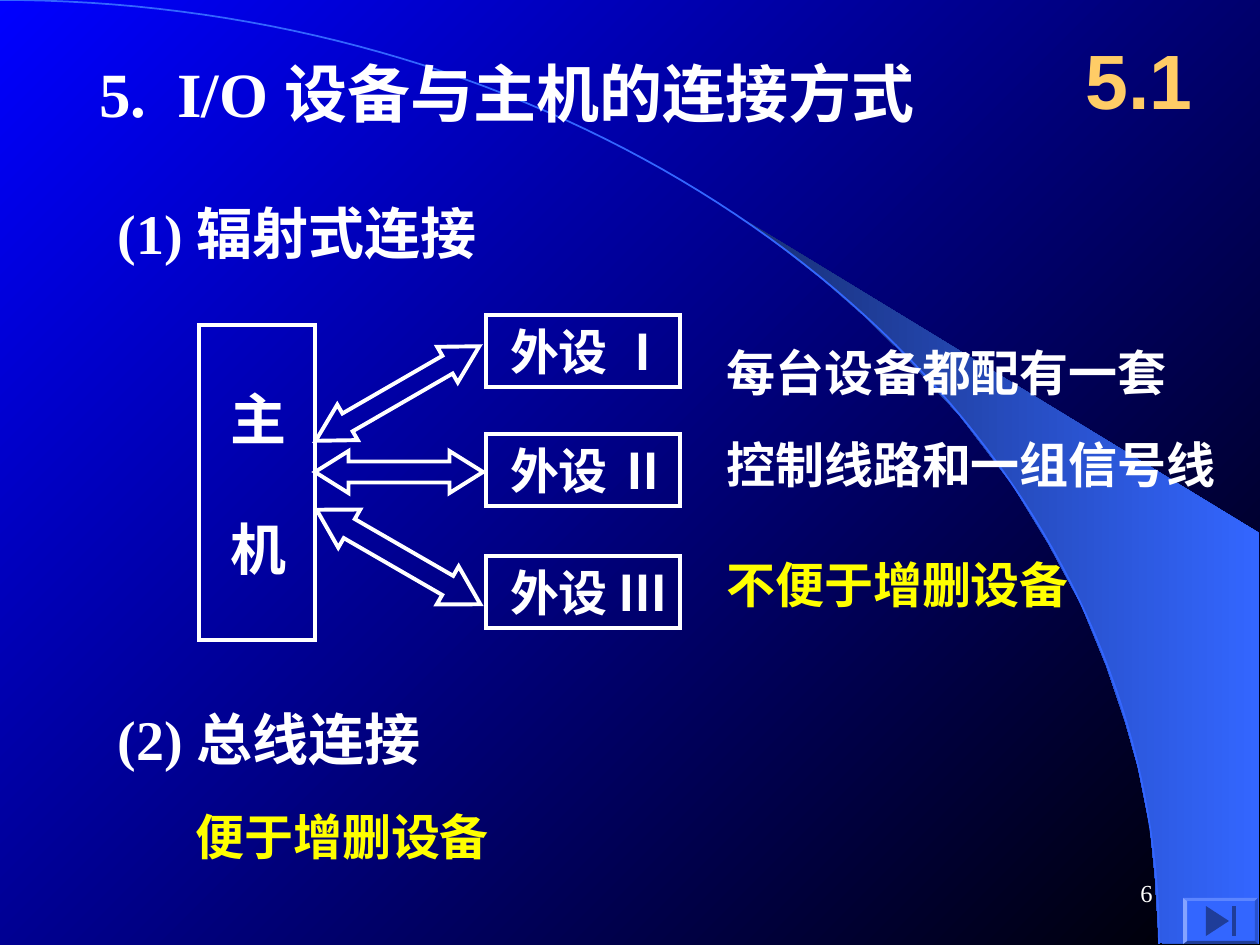
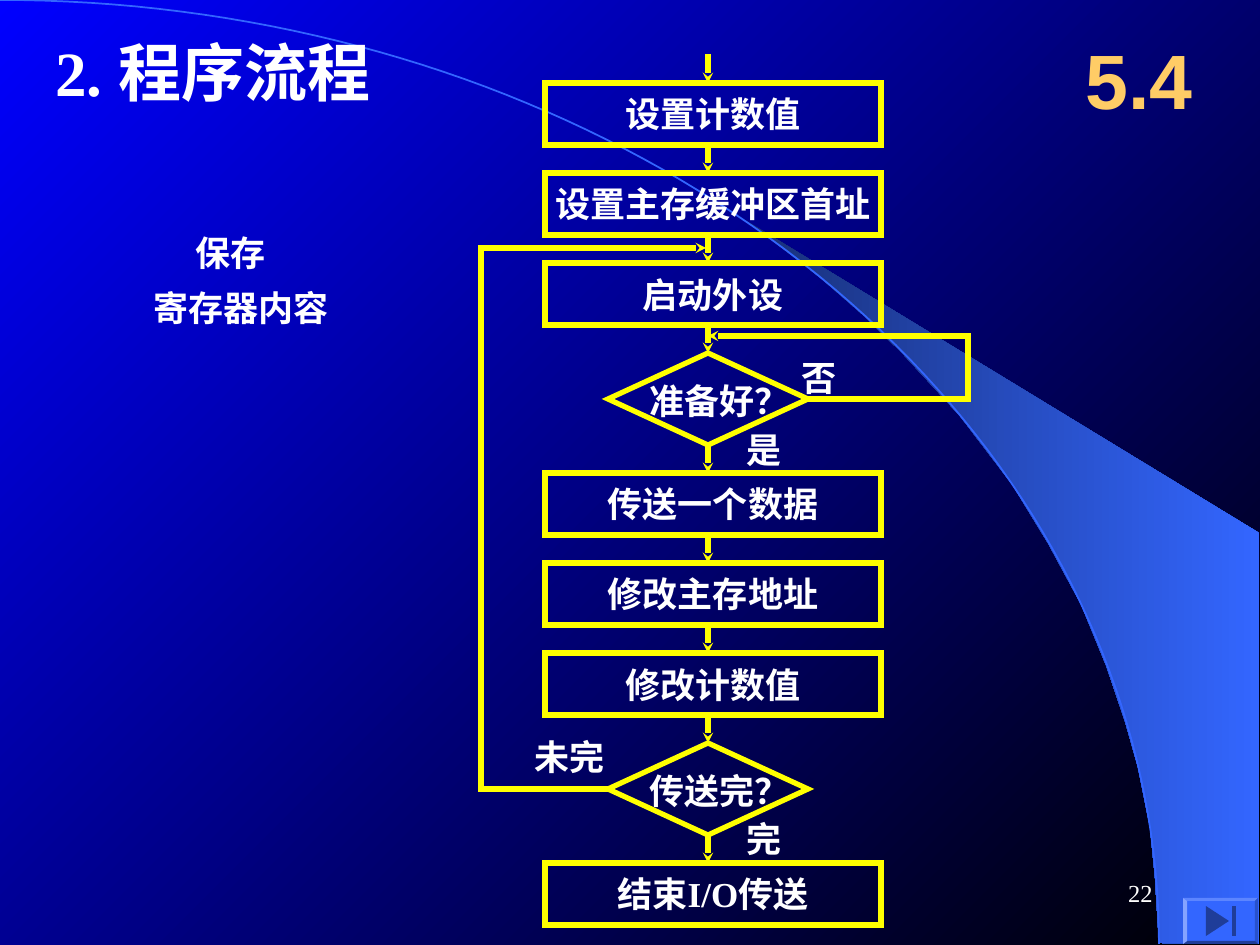
from itertools import pairwise
from math import cos, pi, sin

from lxml.etree import SubElement
from pptx import Presentation
from pptx.dml.color import RGBColor as Rgb
from pptx.enum.shapes import MSO_CONNECTOR as Link, MSO_SHAPE as Kind
from pptx.enum.text import MSO_ANCHOR as Anchor, PP_ALIGN as Align
from pptx.oxml.ns import qn
from pptx.util import Pt

PX = 914400 / 126
FINE = 100
WIDE, HIGH = 1260, 945
SERIF, SANS = "Times New Roman", "Arial"

WHITE = Rgb(0xFF, 0xFF, 0xFF)
YELLOW = Rgb(0xFF, 0xFF, 0x00)
GOLD = Rgb(0xFF, 0xCC, 0x66)
BLUE = Rgb(0x00, 0x00, 0xFF)
BLACK = Rgb(0x00, 0x00, 0x00)
NAVY = Rgb(0x18, 0x2F, 0x76)
SKY = Rgb(0x33, 0x66, 0xFF)
PALE = Rgb(0x85, 0xA3, 0xFF)
LIGHT = Rgb(0x5C, 0x85, 0xFF)
DIM = Rgb(0x29, 0x52, 0xCC)
DARK = Rgb(0x1F, 0x3D, 0x99)

SWEEP = [(1159, 943), (1259, 944), (1259, 533), (742, 218), (786, 251),
         (823, 280), (863, 315), (902, 353), (960, 416), (1012, 484),
         (1048, 543), (1081, 604), (1106, 665), (1125, 721), (1138, 767),
         (1150, 827), (1155, 877)]
CURVE = [(1159 * sin(k * pi / 160), 944 - 944 * cos(k * pi / 160))
         for k in range(81)]
OUTER = [(1183, 898), (1258, 898), (1258, 944), (1183, 944)]
INNER = [(1187, 901), (1255, 901), (1255, 941), (1187, 941)]
EDGES = [LIGHT, DIM, DARK, PALE]
ICON = [[(1229, 921), (1206, 936), (1206, 906)],
        [(1232, 906), (1236, 906), (1236, 936), (1232, 936)]]

HEADS = [("(1) 辐射式连接", 192, 536), ("(2) 总线连接", 698, 494)]
UNITS = [("外设 Ⅰ", 315), ("外设 Ⅱ", 434), ("外设 Ⅲ", 556)]
HOST = "主机"
BEAMS = [(315, 451, 168, 42, 0, 0.797),
         (304, 535, 189, 44, 30, 0.856),
         (303, 373, 189, 41, 150, 0.897)]
NOTES = [("每台设备都配有一套", 714, 336, 490, WHITE),
         ("控制线路和一组信号线", 714, 428, 540, WHITE),
         ("不便于增删设备", 714, 548, 431, YELLOW),
         ("便于增删设备", 183, 800, 829, YELLOW)]

STEPS = [("box", "设置计数值"), ("box", "设置主存缓冲区首址"),
         ("box", "启动外设"), ("test", "准备好？"),
         ("box", "传送一个数据"), ("box", "修改主存地址"),
         ("box", "修改计数值"), ("test", "传送完？"),
         ("box", "结束I/O传送")]
TOP, GAP, AXIS = 83, 28, 708
SIZES = {"box": (545, 336, 62), "test": (608, 200, 92)}
TAGS = [("是", 734, 422, 70), ("完", 734, 811, 70),
        ("否", 789, 350, 70), ("未完", 522, 729, 105)]
LOOPS = [[(608, 789), (481, 789), (481, 248), (706, 248)],
         [(808, 399), (968, 399), (968, 336), (708, 336)]]
SIDE = [("保存", 66), ("寄存器内容", 24)]


def px(*nums):
    return [round(n * PX) for n in nums]


def blend(fill, first, last, angle):
    fill.gradient()
    fill.gradient_angle = angle
    for stop, tone in zip(fill.gradient_stops, (first, last)):
        stop.color.rgb = tone


def stroke(shape, tone, width, tip=False):
    shape.line.color.rgb = tone
    shape.line.width = Pt(width)
    line = shape.element.spPr.find(qn("a:ln"))
    SubElement(line, qn("a:miter"), lim="800000")
    if tip:
        SubElement(line, qn("a:tailEnd"), type="stealth", w="sm", len="sm")


def style(para, size, tone, bold=True, face=SERIF):
    for run in para.runs:
        font = run.font
        font.size, font.bold, font.name = Pt(size), bold, face
        font.color.rgb = tone


def fit(frame, wrap=True, anchor=Anchor.TOP, left=12.6, right=12.6):
    frame.word_wrap = wrap
    frame.vertical_anchor = anchor
    frame.margin_left, frame.margin_right = px(left, right)
    frame.margin_top = frame.margin_bottom = px(6.3)[0]


def text(slide, words, spot, size, tone=WHITE, wrap=True,
         align=Align.LEFT, anchor=Anchor.TOP, bold=True, face=SERIF):
    frame = slide.shapes.add_textbox(*px(*spot)).text_frame
    fit(frame, wrap, anchor)
    frame.text = words
    para = frame.paragraphs[0]
    para.alignment = align
    style(para, size, tone, bold, face)
    return para


def solid(slide, kind, spot, tone, width):
    shape = slide.shapes.add_shape(kind, *px(*spot))
    shape.shadow.inherit = False
    shape.fill.background()
    stroke(shape, tone, width)
    return shape


def trace(slide, points, close=False):
    first, *rest = [(x * FINE, y * FINE) for x, y in points]
    pen = slide.shapes.build_freeform(*first, scale=PX / FINE)
    pen.add_line_segments(rest, close=close)
    shape = pen.convert_to_shape()
    shape.shadow.inherit = False
    return shape


def patch(slide, points, tone):
    shape = trace(slide, points, True)
    shape.fill.solid()
    shape.fill.fore_color.rgb = tone
    shape.line.fill.background()


def path_line(slide, points, tone, width, tip=False):
    shape = trace(slide, points)
    shape.fill.background()
    stroke(shape, tone, width, tip)


def drop(slide, start, end):
    link = slide.shapes.add_connector(
        Link.STRAIGHT, *px(AXIS, start, AXIS, end))
    stroke(link, YELLOW, 3, True)
    SubElement(link.element.spPr, qn("a:effectLst"))


def base(deck, part, page):
    slide = deck.slides.add_slide(deck.slide_layouts[6])
    blend(slide.background.fill, BLUE, BLACK, 315)
    sweep = trace(slide, SWEEP, True)
    blend(sweep.fill, NAVY, SKY, 0)
    sweep.line.fill.background()
    path_line(slide, CURVE, SKY, 1)
    text(slide, part, (1060, 21, 158, 116), 44, GOLD, align=Align.CENTER,
         anchor=Anchor.MIDDLE, face=SANS)
    text(slide, page, (903, 861, 262, 63), 14, align=Align.RIGHT,
         anchor=Anchor.MIDDLE, bold=False)
    patch(slide, OUTER, SKY)
    for k, tone in enumerate(EDGES):
        n = (k + 1) % 4
        patch(slide, [OUTER[k], OUTER[n], INNER[n], INNER[k]], tone)
    for mark in ICON:
        patch(slide, mark, DARK)
    return slide


def links(deck):
    slide = base(deck, "5.1", "6")
    title = text(slide, "5.\tI/O 设备与主机的连接方式", (87, 48, 861, 88), 36)
    tabs = SubElement(title._p.get_or_add_pPr(), qn("a:tabLst"))
    SubElement(tabs, qn("a:tab"), pos=str(px(78)[0]), algn="l")
    for words, y, w in HEADS:
        text(slide, words, (105, y, w, 81), 32)
    for words, y in UNITS:
        unit = solid(slide, Kind.RECTANGLE, (486, y, 194, 72), WHITE, 2.25)
        frame = unit.text_frame
        fit(frame, left=24, right=0)
        frame.text = words
        frame.paragraphs[0].alignment = Align.LEFT
        style(frame.paragraphs[0], 28, WHITE)
    for *spot, turn, head in BEAMS:
        beam = solid(slide, Kind.LEFT_RIGHT_ARROW, spot, WHITE, 2.25)
        beam.rotation = turn
        beam.adjustments[0], beam.adjustments[1] = 0.5, head
    for k, word in enumerate(HOST):
        text(slide, word, (218, 378 + 130 * k, 81, 81), 32, wrap=False)
    solid(slide, Kind.RECTANGLE, (199, 325, 116, 315), WHITE, 2.25)
    for words, x, y, w, tone in NOTES:
        text(slide, words, (x, y, w, 72), 28, tone)


def flow(deck):
    slide = base(deck, "5.4", "22")
    text(slide, "2. 程序流程", (43, 27, 370, 88), 36)
    y, spans = TOP, [(0, 54)]
    for kind, words in STEPS:
        x, w, h = SIZES[kind]
        if kind == "box":
            shape = solid(slide, Kind.RECTANGLE, (x, y, w, h), YELLOW, 3)
            frame = shape.text_frame
            fit(frame, False, Anchor.MIDDLE)
            frame.text = words
            frame.paragraphs[0].alignment = Align.CENTER
            style(frame.paragraphs[0], 20, WHITE)
        else:
            text(slide, words, (x + 29, y + 20, 175, 55), 20)
            solid(slide, Kind.DIAMOND, (x, y, w, h), YELLOW, 3)
        spans.append((y, y + h))
        y += h + GAP
    for above, below in pairwise(spans):
        drop(slide, above[1], below[0])
    for points in LOOPS:
        path_line(slide, points, YELLOW, 3, True)
    for words, x, y, w in TAGS:
        text(slide, words, (x, y, w, 55), 20)
    frame = slide.shapes.add_textbox(*px(117, 213, 275, 134)).text_frame
    fit(frame)
    frame.text = "\n".join(words for words, _ in SIDE)
    for para, (_, inset) in zip(frame.paragraphs, SIDE):
        para._p.get_or_add_pPr().set("marL", str(px(inset)[0]))
        para.line_spacing = 1.3
        style(para, 20, WHITE)


def main():
    deck = Presentation()
    deck.slide_width, deck.slide_height = px(WIDE, HIGH)
    links(deck)
    flow(deck)
    deck.save("out.pptx")


if __name__ == "__main__":
    main()
